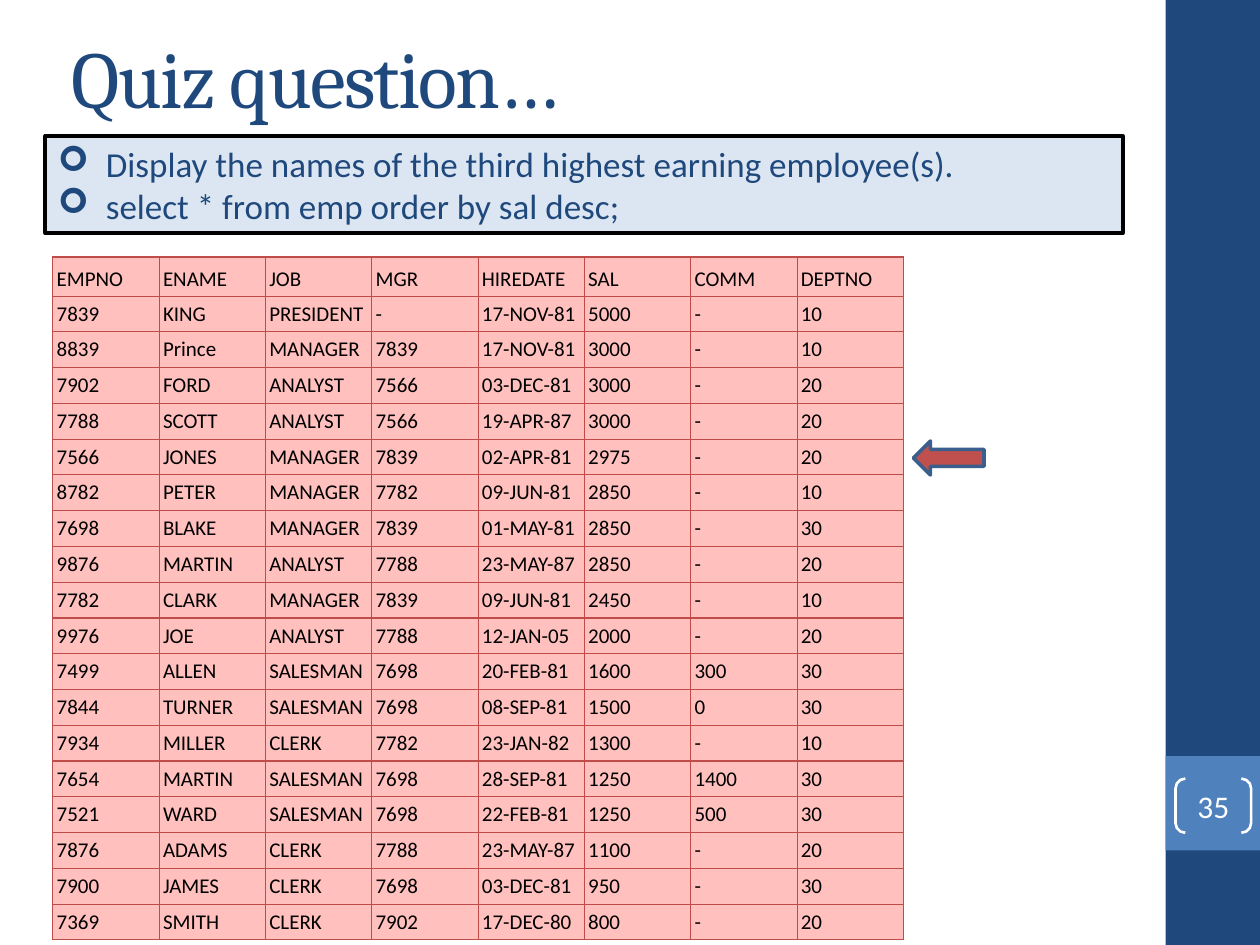
from lxml import etree
from pptx import Presentation
from pptx.dml.color import RGBColor
from pptx.enum.shapes import MSO_SHAPE
from pptx.enum.text import MSO_ANCHOR, MSO_AUTO_SIZE, PP_ALIGN
from pptx.oxml import parse_xml
from pptx.oxml.ns import nsdecls, qn
from pptx.util import Inches, Pt

RECT, BRACKETS, LEFT_ARROW = MSO_SHAPE.RECTANGLE, MSO_SHAPE.DOUBLE_BRACKET, MSO_SHAPE.LEFT_ARROW
MIDDLE, BOTTOM, TOP = MSO_ANCHOR.MIDDLE, MSO_ANCHOR.BOTTOM, MSO_ANCHOR.TOP
LEFT, CENTER = PP_ALIGN.LEFT, PP_ALIGN.CENTER

COLORS = {
    "navy": "1F497D", "blue": "4F81BD", "pale": "DCE6F2", "white": "FFFFFF",
    "black": "000000", "pink": "FFC0BE", "border": "BF4C48",
    "red": "C0504D", "arrow_line": "3A5F8C",
}
RGB = {name: RGBColor.from_string(value) for name, value in COLORS.items()}

QUESTION = [
    "Display the names of the third highest earning employee(s).",
    "select * from emp order by sal desc;",
]
EMPLOYEES = [
    "EMPNO ENAME JOB MGR HIREDATE SAL COMM DEPTNO",
    "7839 KING PRESIDENT - 17-NOV-81 5000 - 10",
    "8839 Prince MANAGER 7839 17-NOV-81 3000 - 10",
    "7902 FORD ANALYST 7566 03-DEC-81 3000 - 20",
    "7788 SCOTT ANALYST 7566 19-APR-87 3000 - 20",
    "7566 JONES MANAGER 7839 02-APR-81 2975 - 20",
    "8782 PETER MANAGER 7782 09-JUN-81 2850 - 10",
    "7698 BLAKE MANAGER 7839 01-MAY-81 2850 - 30",
    "9876 MARTIN ANALYST 7788 23-MAY-87 2850 - 20",
    "7782 CLARK MANAGER 7839 09-JUN-81 2450 - 10",
    "9976 JOE ANALYST 7788 12-JAN-05 2000 - 20",
    "7499 ALLEN SALESMAN 7698 20-FEB-81 1600 300 30",
    "7844 TURNER SALESMAN 7698 08-SEP-81 1500 0 30",
    "7934 MILLER CLERK 7782 23-JAN-82 1300 - 10",
    "7654 MARTIN SALESMAN 7698 28-SEP-81 1250 1400 30",
    "7521 WARD SALESMAN 7698 22-FEB-81 1250 500 30",
    "7876 ADAMS CLERK 7788 23-MAY-87 1100 - 20",
    "7900 JAMES CLERK 7698 03-DEC-81 950 - 30",
    "7369 SMITH CLERK 7902 17-DEC-80 800 - 20",
]
rows = [line.split() for line in EMPLOYEES]


def add_shape(kind, left, top, width, height, fill=None, line=None, line_width=1):
    sp = slide.shapes.add_shape(kind, Inches(left), Inches(top), Inches(width), Inches(height))
    sp.shadow.inherit = False
    if fill:
        sp.fill.solid()
        sp.fill.fore_color.rgb = RGB[fill]
    else:
        sp.fill.background()
    if line:
        sp.line.color.rgb = RGB[line]
        sp.line.width = Pt(line_width)
    else:
        sp.line.fill.background()
    return sp


def style(p, size, color, name="Calibri"):
    for r in p.runs:
        r.font.size, r.font.name, r.font.color.rgb = Pt(size), name, RGB[color]


prs = Presentation()
prs.slide_width, prs.slide_height = Inches(10), Inches(7.5)
slide = prs.slides.add_slide(prs.slide_layouts[1])

# Side band with the slide number
add_shape(RECT, 9.25, 0, 0.75, 7.5, "navy")
add_shape(RECT, 9.25, 6, 0.75, 0.75, "blue")
number = add_shape(BRACKETS, 9.33, 6.18, 0.6, 0.43, line="white", line_width=1.5)
number.adjustments[0] = 0.18
tf = number.text_frame
tf.margin_left = tf.margin_right = tf.margin_top = tf.margin_bottom = 0
tf.vertical_anchor = MIDDLE
tf.text = "35"
tf.paragraphs[0].alignment = CENTER
style(tf.paragraphs[0], 18, "white")

# Title
title = slide.shapes.title
title.left, title.top, title.width, title.height = map(Inches, (0.47, 0.17, 8.33, 0.87))
tf = title.text_frame
tf.text = "Quiz question…"
tf.auto_size = MSO_AUTO_SIZE.NONE
tf.vertical_anchor = MIDDLE
p = tf.paragraphs[0]
p.alignment = LEFT
style(p, 46, "navy", "Cambria")
p.runs[0].font._element.set("spc", "-100")

# Question box
box = slide.placeholders[1]
box.left, box.top, box.width, box.height = map(Inches, (0.36, 1.08, 8.55, 0.77))
box.fill.solid()
box.fill.fore_color.rgb = RGB["pale"]
box.line.color.rgb = RGB["black"]
box.line.width = Pt(2.25)
tf = box.text_frame
tf.text = "\n".join(QUESTION)
tf.auto_size = MSO_AUTO_SIZE.NONE
tf.vertical_anchor = TOP
for p in tf.paragraphs:
    p.space_before = Pt(0)
    pPr = p._p.get_or_add_pPr()
    pPr.set("marL", str(Inches(0.38)))
    pPr.set("indent", str(-Inches(0.38)))
    etree.SubElement(pPr, qn("a:buFont")).set("typeface", "Wingdings")
    etree.SubElement(pPr, qn("a:buChar")).set("char", "➢")
    style(p, 20, "navy")

# Employee table
width, height, header_height = Inches(6.75), Inches(5.42), Inches(0.31)
table = slide.shapes.add_table(len(rows), len(rows[0]), Inches(0.42), Inches(2.04),
                               width, height).table
for column in table.columns:
    column.width = width // len(rows[0])
for i, values in enumerate(rows):
    table.rows[i].height = (height - header_height) // (len(rows) - 1) if i else header_height
    for j, value in enumerate(values):
        cell = table.cell(i, j)
        cell.text = value
        cell.vertical_anchor = MIDDLE if i else BOTTOM
        cell.margin_left = cell.margin_right = Inches(0.03)
        cell.margin_top = cell.margin_bottom = Inches(0.01 if i else 0.03)
        p = cell.text_frame.paragraphs[0]
        style(p, 12, "black")
        p.runs[0].font.bold = False
        tcPr = cell._tc.get_or_add_tcPr()
        for side in ("lnL", "lnR", "lnT", "lnB"):
            tcPr.append(parse_xml(
                f'<a:{side} {nsdecls("a")} w="{Pt(0.75)}"><a:solidFill>'
                f'<a:srgbClr val="{COLORS["border"]}"/></a:solidFill></a:{side}>'))
        cell.fill.solid()
        cell.fill.fore_color.rgb = RGB["pink"]

# Arrow to the third highest salary
add_shape(LEFT_ARROW, 7.25, 3.5, 0.56, 0.27, "red", "arrow_line", 2)

prs.save("out.pptx")
